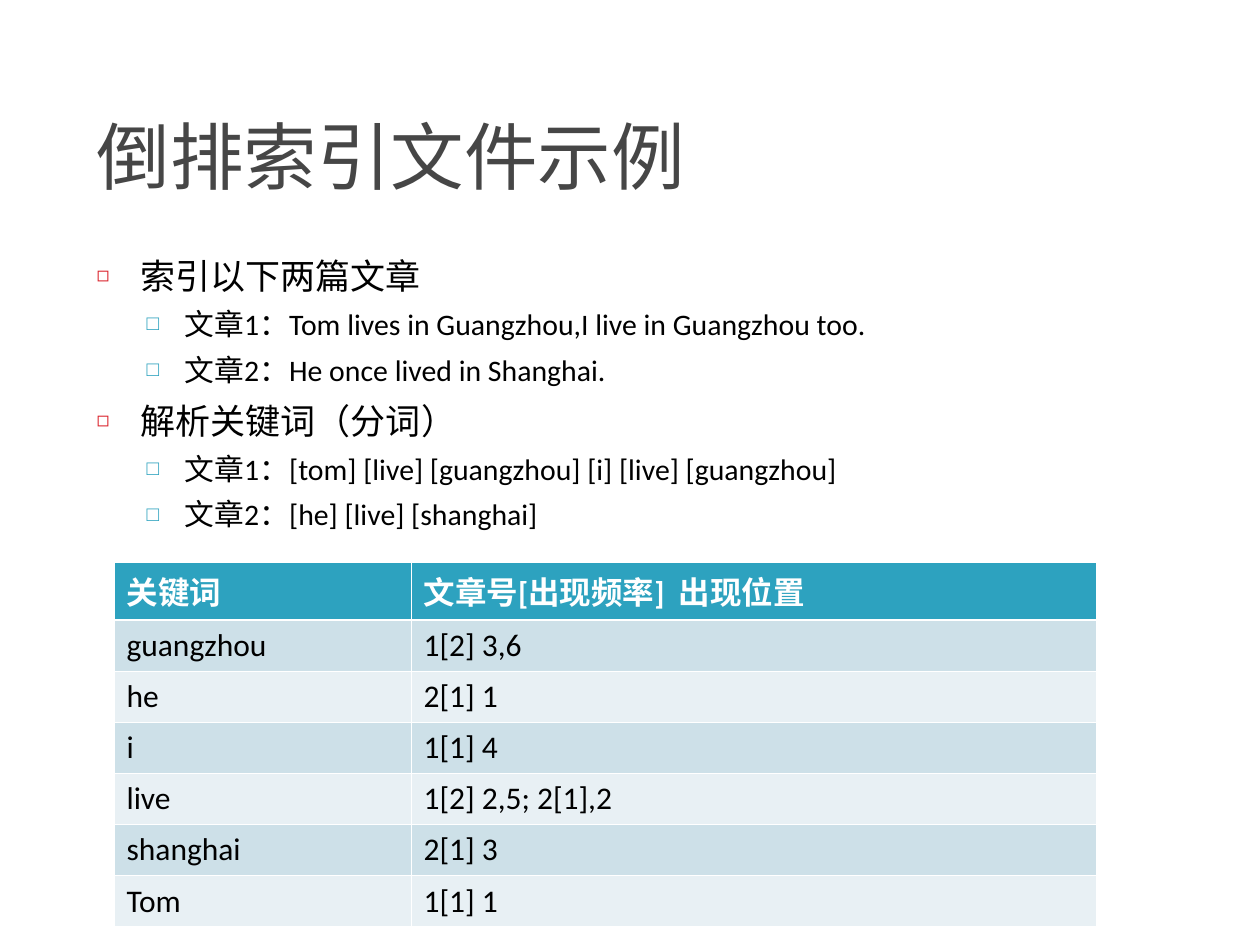
from pptx import Presentation
from pptx.dml.color import RGBColor
from pptx.enum.text import MSO_ANCHOR, MSO_AUTO_SIZE, PP_ALIGN
from pptx.oxml import parse_xml
from pptx.oxml.ns import nsdecls
from pptx.util import Pt

LEFT = PP_ALIGN.LEFT
BOTTOM = MSO_ANCHOR.BOTTOM
TOP = MSO_ANCHOR.TOP
NO_AUTOFIT = MSO_AUTO_SIZE.NONE

EMU_PER_PX = 914400 / 126
FONT = "Calibri"
COLORS = {
    "title": "464646",
    "text": "000000",
    "white": "FFFFFF",
    "red": "DA1F28",
    "teal": "2DA2BF",
    "band_dark": "CDE0E8",
    "band_light": "E8F0F4",
}
LEVELS = [
    {"size": 20, "before": 7, "margin": 44, "indent": -44,
     "bullet": "◻", "color": "red", "percent": 60},
    {"size": 17, "before": 5.5, "margin": 88, "indent": -38,
     "bullet": "□", "color": "teal", "percent": 70},
]
OUTLINE = [
    (0, "索引以下两篇文章"),
    (1, "文章1：Tom lives in Guangzhou,I live in Guangzhou too."),
    (1, "文章2：He once lived in Shanghai."),
    (0, "解析关键词（分词）"),
    (1, "文章1：[tom] [live] [guangzhou] [i] [live] [guangzhou]"),
    (1, "文章2：[he] [live] [shanghai]"),
]
INDEX_ROWS = [
    ("关键词", "文章号[出现频率]  出现位置"),
    ("guangzhou", "1[2] 3,6"),
    ("he", "2[1] 1"),
    ("i", "1[1] 4"),
    ("live", "1[2] 2,5; 2[1],2"),
    ("shanghai", "2[1] 3"),
    ("Tom", "1[1] 1"),
]


def px(length):
    return round(length * EMU_PER_PX)


def rgb(name):
    return RGBColor.from_string(COLORS[name])


class SlideBuilder:
    def __init__(self, slide):
        self.slide = slide

    def place(self, shape, left, top, width, height):
        shape.left, shape.top = px(left), px(top)
        shape.width, shape.height = px(width), px(height)

    def style(self, paragraph, size, color, bold=False):
        paragraph.alignment = LEFT
        for run in paragraph.runs:
            run.font.name = FONT
            run.font.size = Pt(size)
            run.font.bold = bold
            run.font.color.rgb = rgb(color)

    def title(self, text, box):
        shape = self.slide.shapes.title
        self.place(shape, *box)
        frame = shape.text_frame
        frame.text = text
        frame.auto_size = NO_AUTOFIT
        frame.vertical_anchor = BOTTOM
        self.style(frame.paragraphs[0], 42, "title")

    def bullet(self, paragraph, level):
        properties = paragraph._p.get_or_add_pPr()
        properties.set("marL", str(px(level["margin"])))
        properties.set("indent", str(px(level["indent"])))
        color = COLORS[level["color"]]
        for xml in (
            f'<a:buClr {nsdecls("a")}><a:srgbClr val="{color}"/></a:buClr>',
            f'<a:buSzPct {nsdecls("a")} val="{level["percent"] * 1000}"/>',
            f'<a:buChar {nsdecls("a")} char="{level["bullet"]}"/>',
        ):
            properties.append(parse_xml(xml))

    def outline(self, items, box):
        shape = self.slide.placeholders[1]
        self.place(shape, *box)
        frame = shape.text_frame
        frame.text = "\n".join(text for _, text in items)
        frame.auto_size = NO_AUTOFIT
        frame.vertical_anchor = TOP
        for paragraph, (depth, _) in zip(frame.paragraphs, items):
            level = LEVELS[depth]
            paragraph.level = depth
            paragraph.space_before = Pt(level["before"])
            self.style(paragraph, level["size"], "text")
            self.bullet(paragraph, level)

    def borders(self, cell, top, bottom):
        properties = cell._tc.get_or_add_tcPr()
        for side, width in (("L", 0.45), ("R", 0.45), ("T", top), ("B", bottom)):
            properties.append(parse_xml(
                f'<a:ln{side} {nsdecls("a")} w="{Pt(width)}"><a:solidFill>'
                f'<a:srgbClr val="{COLORS["white"]}"/></a:solidFill></a:ln{side}>'
            ))

    def table(self, rows, left, top, column_widths, row_height):
        frame = self.slide.shapes.add_table(
            len(rows), len(column_widths), px(left), px(top),
            px(sum(column_widths)), px(row_height * len(rows)))
        table = frame.table
        for column, width in zip(table.columns, column_widths):
            column.width = px(width)
        for row_index, values in enumerate(rows):
            header = row_index == 0
            band = "band_dark" if row_index % 2 else "band_light"
            for column_index, value in enumerate(values):
                cell = table.cell(row_index, column_index)
                cell.text_frame.text = value
                self.style(cell.text_frame.paragraphs[0], 18,
                           "white" if header else "text", header)
                self.borders(cell, 1.47 if row_index == 1 else 0.45,
                             1.47 if header else 0.45)
                cell.fill.solid()
                cell.fill.fore_color.rgb = rgb("teal" if header else band)


def main():
    presentation = Presentation()
    presentation.slide_width = px(1260)
    presentation.slide_height = px(945)
    slide = presentation.slides.add_slide(presentation.slide_layouts[1])
    builder = SlideBuilder(slide)
    builder.title("倒排索引文件示例", (84, 21, 1124, 185))
    builder.outline(OUTLINE, (84, 248, 1124, 294))
    builder.table(INDEX_ROWS, 114, 562, (297, 685), 51)
    presentation.save("out.pptx")


if __name__ == "__main__":
    main()
